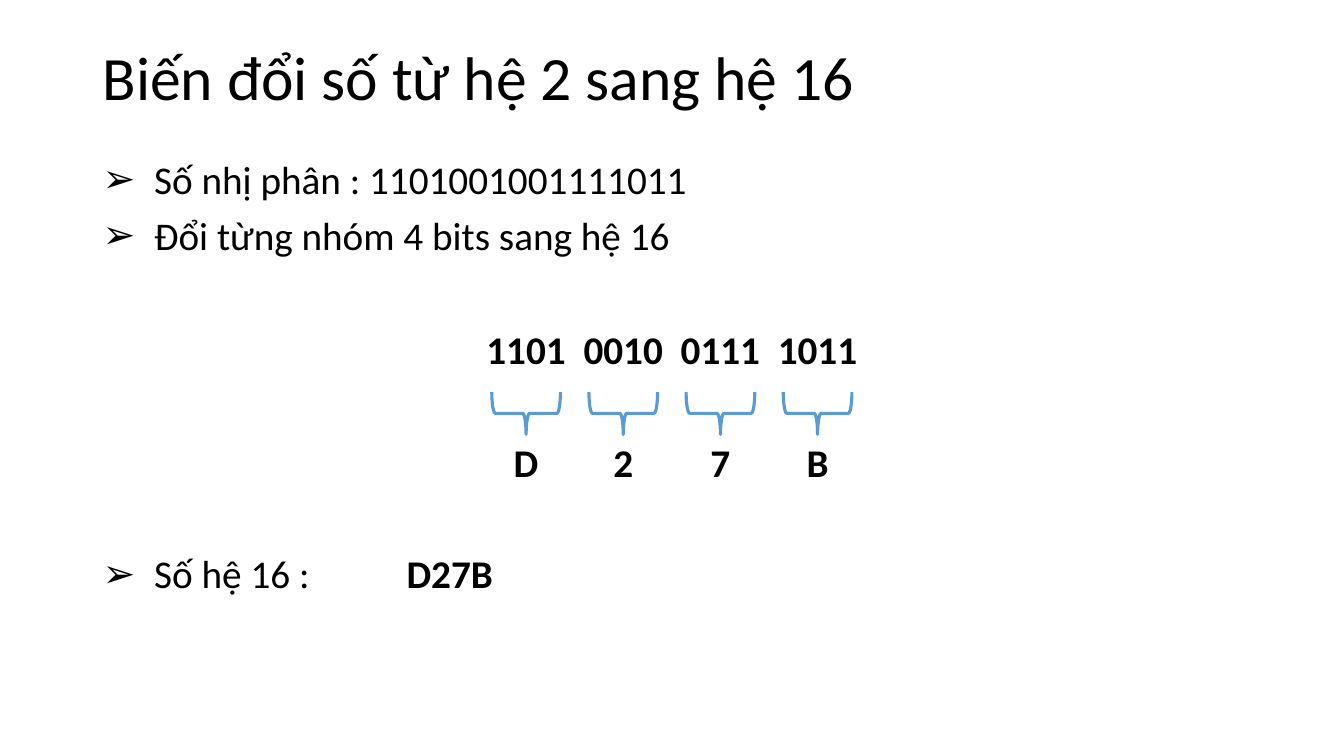
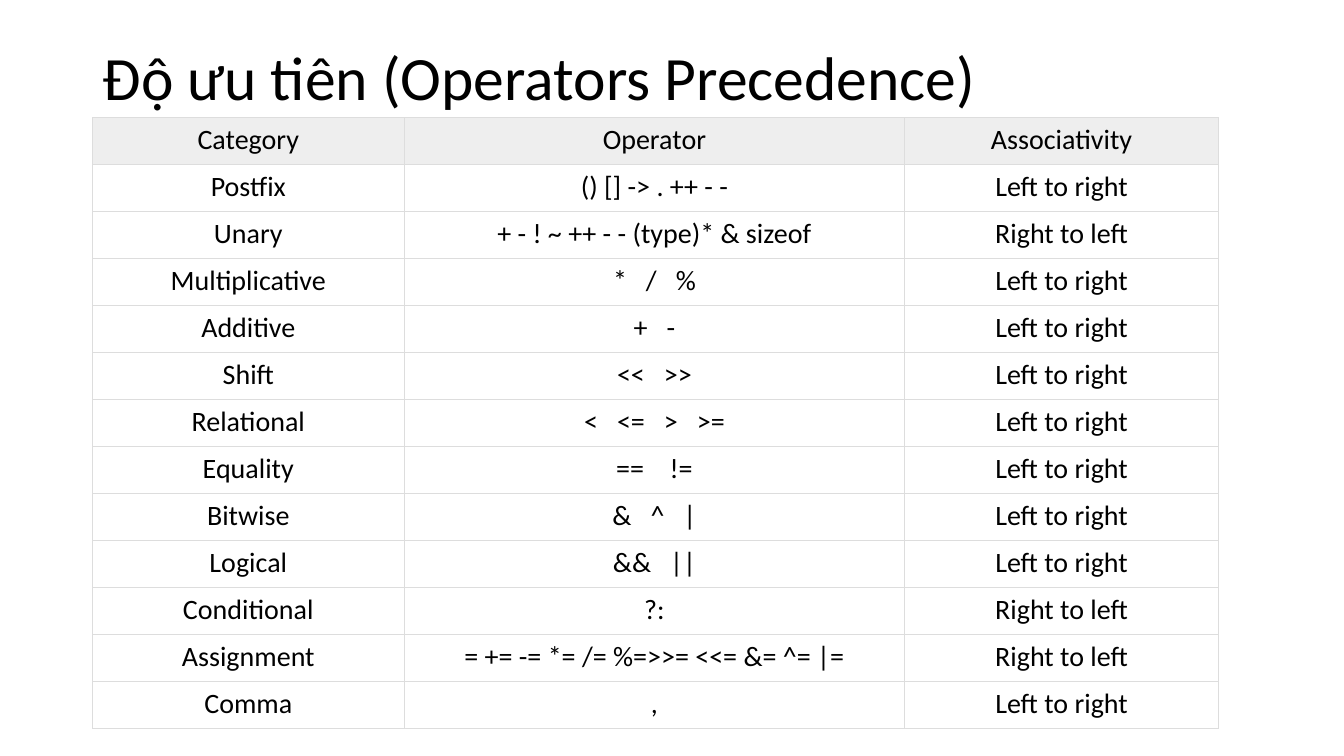
from lxml.etree import SubElement
from pptx import Presentation
from pptx.dml.color import RGBColor
from pptx.enum.shapes import MSO_SHAPE
from pptx.enum.text import MSO_ANCHOR, MSO_AUTO_SIZE, PP_ALIGN
from pptx.oxml.ns import qn
from pptx.util import Pt

COLORS = {
    "text": "000000",
    "brace": "5B9BD5",
    "header": "EEEEEE",
    "border": "DDDDDD",
}
FONT = "Calibri"
MARGIN_LEFT = 66.2
CONTENT_WIDTH = 828
LINE_SPACING = 0.9
BULLET_INDENT = 36.7
PARAGRAPH_GAP = 10
CONVERSION_GAP = 211.5
RESULT_SPACING = 63
TITLE_AND_CONTENT, TITLE_ONLY = 1, 5

NIBBLES = [("1101", "D"), ("0010", "2"), ("0111", "7"), ("1011", "B")]
FIRST_NIBBLE_CENTER, NIBBLE_PITCH = 375.8, 69.4
NIBBLE_Y, BRACE_Y, DIGIT_Y = 249.5, 295.2, 330.2

LEFT, RIGHT = "Left to right", "Right to left"
WIDE, WIDER = 9, 13.6
OPERATORS = [
    ("Category", "Operator", "Associativity", 0),
    ("Postfix", "() [] -> . ++ - -", LEFT, 0),
    ("Unary", "+ - ! ~ ++ - - (type)* & sizeof", RIGHT, 0),
    ("Multiplicative", "* / %", LEFT, WIDE),
    ("Additive", "+ -", LEFT, WIDE),
    ("Shift", "<< >>", LEFT, WIDE),
    ("Relational", "< <= > >=", LEFT, WIDE),
    ("Equality", "== !=", LEFT, WIDER),
    ("Bitwise", "& ^ |", LEFT, WIDE),
    ("Logical", "&& ||", LEFT, WIDE),
    ("Conditional", "?:", RIGHT, 0),
    ("Assignment", "= += -= *= /= %=>>= <<= &= ^= |=", RIGHT, 0),
    ("Comma", ",", LEFT, 0),
]


def color(name):
    return RGBColor.from_string(COLORS[name])


class Deck:
    def __init__(self):
        self.presentation = Presentation()
        self.presentation.slide_width = Pt(960)
        self.presentation.slide_height = Pt(540)
        self.slide = None

    def add_slide(self, layout, title):
        layouts = self.presentation.slide_layouts
        self.slide = self.presentation.slides.add_slide(layouts[layout])
        shape = self.slide.shapes.title
        self.place(shape, 15.1, 85)
        shape.text_frame.vertical_anchor = MSO_ANCHOR.MIDDLE
        paragraph = shape.text_frame.paragraphs[0]
        paragraph.alignment = PP_ALIGN.LEFT
        paragraph.line_spacing = LINE_SPACING
        self.add_run(paragraph, title, 44)

    def place(self, shape, top, height):
        shape.left, shape.top = Pt(MARGIN_LEFT), Pt(top)
        shape.width, shape.height = Pt(CONTENT_WIDTH), Pt(height)
        shape.text_frame.auto_size = MSO_AUTO_SIZE.NONE
        shape.text_frame.word_wrap = True

    def add_run(self, paragraph, text, size, bold=False, spacing=0):
        run = paragraph.add_run()
        run.text = text
        run.font.name = FONT
        run.font.size = Pt(size)
        run.font.bold = bold
        run.font.color.rgb = color("text")
        if spacing:
            run._r.get_or_add_rPr().set("spc", str(round(spacing * 100)))

    def add_body(self, lines):
        shape = self.slide.placeholders[1]
        self.place(shape, 110.9, 390.2)
        text_frame = shape.text_frame
        for index, (gap, runs) in enumerate(lines):
            paragraph = text_frame.add_paragraph() if index else text_frame.paragraphs[0]
            self.set_bullet(paragraph)
            paragraph.alignment = PP_ALIGN.LEFT
            paragraph.line_spacing = LINE_SPACING
            paragraph.space_before = Pt(gap)
            for text, bold, spacing in runs:
                self.add_run(paragraph, text, 28, bold, spacing)

    def set_bullet(self, paragraph):
        properties = paragraph._p.get_or_add_pPr()
        properties.set("marL", str(Pt(BULLET_INDENT)))
        properties.set("indent", str(-Pt(BULLET_INDENT)))
        SubElement(properties, qn("a:buFont"), typeface=FONT)
        SubElement(properties, qn("a:buChar"), char="➢")

    def add_label(self, text, center_x, center_y, width=66, height=36):
        shape = self.slide.shapes.add_textbox(
            Pt(center_x - width / 2), Pt(center_y - height / 2),
            Pt(width), Pt(height))
        text_frame = shape.text_frame
        text_frame.word_wrap = True
        text_frame.margin_left = text_frame.margin_right = 0
        text_frame.margin_top = text_frame.margin_bottom = 0
        text_frame.vertical_anchor = MSO_ANCHOR.MIDDLE
        paragraph = text_frame.paragraphs[0]
        paragraph.alignment = PP_ALIGN.CENTER
        self.add_run(paragraph, text, 28, bold=True)

    def add_brace(self, center_x, center_y, width=30.2, height=49):
        shape = self.slide.shapes.add_shape(
            MSO_SHAPE.LEFT_BRACE, Pt(center_x - width / 2),
            Pt(center_y - height / 2), Pt(width), Pt(height))
        shape.rotation = 270
        shape.shadow.inherit = False
        shape.fill.background()
        shape.line.color.rgb = color("brace")
        shape.line.width = Pt(2.25)

    def add_operator_table(self, rows, top, widths, row_height):
        table = self.slide.shapes.add_table(
            len(rows), len(widths), Pt(MARGIN_LEFT), Pt(top),
            Pt(sum(widths)), Pt(row_height * len(rows))).table
        table.horz_banding = False
        for column, width in zip(table.columns, widths):
            column.width = Pt(width)
        for row_index, (*texts, spacing) in enumerate(rows):
            table.rows[row_index].height = Pt(row_height)
            for column_index, text in enumerate(texts):
                cell = table.cell(row_index, column_index)
                self.style_cell(cell, row_index == 0)
                self.fill_cell(cell, text, spacing if column_index == 1 else 0)

    def fill_cell(self, cell, text, spacing):
        paragraph = cell.text_frame.paragraphs[0]
        paragraph.alignment = PP_ALIGN.CENTER
        if not spacing:
            self.add_run(paragraph, text, 20)
            return
        for index, symbol in enumerate(text.split()):
            if index:
                self.add_run(paragraph, " ", 20, spacing=spacing)
            self.add_run(paragraph, symbol, 20)

    def style_cell(self, cell, is_header):
        cell.margin_left = cell.margin_right = Pt(3.6)
        cell.margin_top = cell.margin_bottom = Pt(3.6)
        properties = cell._tc.get_or_add_tcPr()
        for side in ("lnL", "lnR", "lnT", "lnB"):
            line = SubElement(properties, qn(f"a:{side}"), w=str(Pt(0.75)))
            fill = SubElement(line, qn("a:solidFill"))
            SubElement(fill, qn("a:srgbClr"), val=COLORS["border"])
        if is_header:
            cell.fill.solid()
            cell.fill.fore_color.rgb = color("header")
        else:
            cell.fill.background()


def main():
    deck = Deck()

    deck.add_slide(TITLE_AND_CONTENT, "Biến đổi số từ hệ 2 sang hệ 16")
    deck.add_body([
        (0, [("Số nhị phân : 1101001001111011", False, 0)]),
        (PARAGRAPH_GAP, [("Đổi từng nhóm 4 bits sang hệ 16", False, 0)]),
        (CONVERSION_GAP, [("Số hệ 16 :", False, 0),
                          (" ", False, RESULT_SPACING),
                          ("D27B", True, 0)]),
    ])
    for index, (nibble, digit) in enumerate(NIBBLES):
        center = FIRST_NIBBLE_CENTER + NIBBLE_PITCH * index
        deck.add_label(nibble, center, NIBBLE_Y)
        deck.add_brace(center, BRACE_Y)
        deck.add_label(digit, center, DIGIT_Y)

    deck.add_slide(TITLE_ONLY, "Độ ưu tiên (Operators Precedence)")
    deck.add_operator_table(OPERATORS, 84, (222.4, 357.8, 223.9), 33.6)

    deck.presentation.save("out.pptx")


if __name__ == "__main__":
    main()
